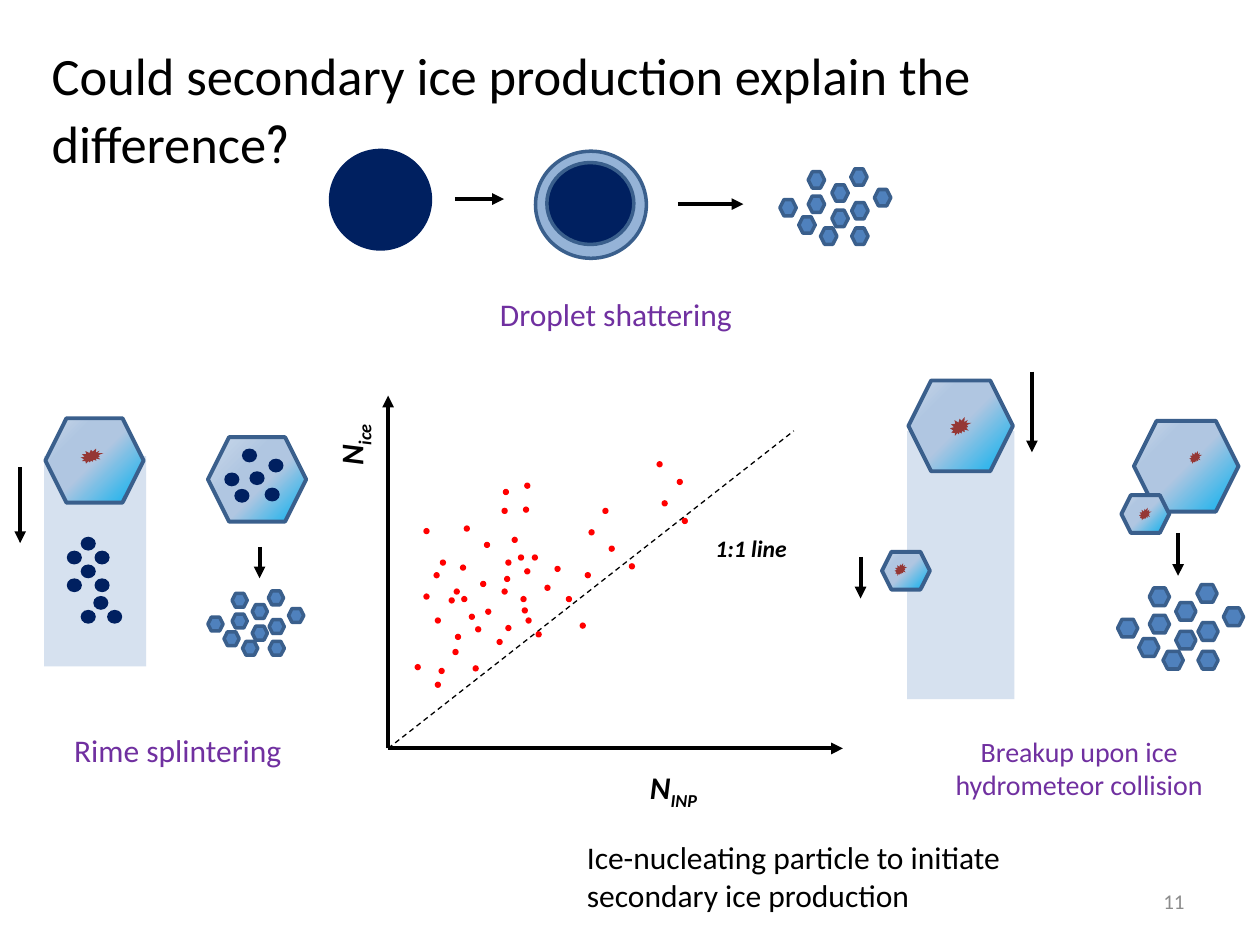
from lxml import etree
from pptx import Presentation
from pptx import util as u
from pptx.dml.color import RGBColor
from pptx.enum import dml, shapes, text
from pptx.oxml import parse_xml
from pptx.oxml.ns import nsdecls, qn

BLACK = RGBColor(0x00, 0x00, 0x00)
GREY = RGBColor(0x8C, 0x8C, 0x8C)
PURPLE = RGBColor(0x70, 0x30, 0xA0)
RED = RGBColor(0xFF, 0x00, 0x00)
NAVY = RGBColor(0x00, 0x20, 0x60)
BLUE = RGBColor(0x4F, 0x81, 0xBD)
OUTLINE = RGBColor(0x3A, 0x5F, 0x8C)
SHELL = RGBColor(0x95, 0xB3, 0xD7)
TRAIL = RGBColor(0xB9, 0xCD, 0xE5)
BROWN = RGBColor(0x95, 0x37, 0x35)

SHAPE = shapes.MSO_SHAPE
ALIGN = text.PP_ALIGN
FONT = "Calibri"

# Scatter: left and top of each dot, in inches
DOT = 0.05
ORIGIN = (3.08, 5.94)
MEASUREMENTS = [
    (4.13, 4.73), (3.98, 4.67), (4.67, 4.20), (4.16, 4.51), (4.06, 4.26), (3.36, 4.71),
    (3.44, 4.54), (3.60, 4.67), (3.65, 4.48), (3.81, 4.61), (3.29, 5.27), (3.45, 5.41),
    (3.48, 5.30), (3.36, 4.19), (3.68, 4.17), (3.49, 4.44), (3.59, 5.15), (3.84, 4.30),
    (4.01, 4.44), (3.85, 4.83), (3.98, 4.03), (3.94, 5.07), (3.77, 4.97), (5.25, 3.97),
    (3.99, 3.88), (4.17, 4.90), (4.15, 4.02), (3.56, 4.74), (3.45, 4.90), (3.66, 4.73),
    (5.21, 3.66), (3.75, 5.28), (4.01, 4.96), (4.16, 3.83), (5.41, 4.11), (4.25, 5.01),
    (3.72, 4.87), (3.61, 5.03), (4.60, 4.94), (5.37, 3.80), (4.14, 4.82), (4.40, 4.49),
    (4.49, 4.73), (4.32, 4.64), (4.83, 4.33), (4.64, 4.54), (4.11, 4.40), (4.00, 4.57),
    (4.22, 4.40), (4.99, 4.47), (4.78, 4.03),
]

# Splinters: each crystal's place as a share of the cluster's spread
SPLINTERS = [
    (0.30, 0.05), (0.30, 0.46), (0.55, 0.27), (0.55, 0.70), (0.20, 0.81), (0.76, 0.57),
    (0.43, 1.00), (0.00, 0.52), (0.76, 1.00), (0.75, 0.00), (1.00, 0.35),
]

# Supercooled droplets of the rime sketch
DROPLET = (0.12, 0.11)
FALLING = [(0.64, 4.26), (0.75, 4.37), (0.53, 4.37), (0.64, 4.48), (0.75, 4.59),
           (0.53, 4.59), (0.74, 4.73), (0.85, 4.84), (0.64, 4.84)]
CAPTURED = [(1.78, 3.75), (1.98, 3.74), (1.86, 3.88), (1.92, 3.56), (2.13, 3.64), (2.10, 3.87)]

# Colliding crystals (left, top, width, height) and their particles
CRYSTALS = [(7.21, 3.02, 0.83, 0.72), (7.00, 4.38, 0.38, 0.30),
            (9.00, 3.34, 0.83, 0.72), (8.90, 3.93, 0.38, 0.30)]
PARTICLES = [(7.54, 3.31, 0.17, 0.15), (7.10, 4.47, 0.10, 0.10),
             (9.44, 3.58, 0.10, 0.10), (9.04, 4.03, 0.10, 0.10)]


def inches(*lengths):
    return [u.Inches(length) for length in lengths]


def write(frame, runs, size=18, color=BLACK, bold=False, italic=False,
          align=ALIGN.LEFT, anchor=text.MSO_ANCHOR.TOP, wrap=True):
    """Fill a frame with one paragraph; runs are (words, font, baseline)."""
    frame.word_wrap = wrap
    frame.auto_size = text.MSO_AUTO_SIZE.NONE
    frame.vertical_anchor = anchor
    paragraph = frame.paragraphs[0]
    paragraph.alignment = align
    for words, font, baseline in runs:
        run = paragraph.add_run()
        run.text = words
        run.font.name, run.font.size = font, u.Pt(size)
        run.font.bold, run.font.italic = bold, italic
        run.font.color.rgb = color
        if baseline:
            run.font._element.set("baseline", str(baseline * 1000))
    return paragraph


def add_label(parent, box, words, subscript=None, rotation=0, **style):
    label = parent.shapes.add_textbox(*inches(*box))
    label.rotation = rotation
    runs = [(words, FONT, 0)] + ([(subscript, FONT, -25)] if subscript else [])
    write(label.text_frame, runs, **style)


def add_part(parent, kind, box, fill, line=None, width=2):
    part = parent.shapes.add_shape(kind, *inches(*box))
    part.shadow.inherit = False
    part.fill.solid()
    part.fill.fore_color.rgb = fill
    if line is None:
        part.line.fill.background()
    else:
        part.line.color.rgb = line
        part.line.width = u.Pt(width)
    return part


def add_line(parent, start, end, width=2.25, arrow=True):
    line = parent.shapes.add_connector(shapes.MSO_CONNECTOR.STRAIGHT, *inches(*start, *end))
    line.line.color.rgb = BLACK
    line.line.width = u.Pt(width)
    properties = line.element.spPr
    if arrow:
        etree.SubElement(properties.find(qn("a:ln")), qn("a:tailEnd"), type="triangle")
    else:
        line.line.dash_style = dml.MSO_LINE.DASH
    etree.SubElement(properties, qn("a:effectLst"))


def add_crystal(parent, box, middle=(50, 73)):
    """Hexagon whose blue lower right corner fades to pale ice."""
    crystal = add_part(parent, SHAPE.HEXAGON, box, BLUE, OUTLINE, 2.25)
    stops = zip((0, *middle, 100), ("00B0F0", "B0C6E1", "B0C6E1", "CAD9EB"))
    stop_xml = "".join(f'<a:gs pos="{position * 1000}"><a:srgbClr val="{color}"/></a:gs>'
                       for position, color in stops)
    gradient = parse_xml(
        f'<a:gradFill {nsdecls("a")} rotWithShape="1"><a:gsLst>{stop_xml}</a:gsLst>'
        '<a:path path="circle"><a:fillToRect l="100000" t="100000"/></a:path></a:gradFill>')
    properties = crystal.element.spPr
    properties.replace(properties.find(qn("a:solidFill")), gradient)


def add_trail(parent, box):
    trail = add_part(parent, SHAPE.RECTANGLE, box, TRAIL)
    color = trail.element.spPr.find(qn("a:solidFill"))[0]
    etree.SubElement(color, qn("a:alpha"), val="58000")


def add_splinters(parent, left, top, spread, size):
    for across, down in SPLINTERS:
        place = (left + across * spread[0], top + down * spread[1])
        add_part(parent, SHAPE.HEXAGON, (*place, *size), BLUE, OUTLINE)


def add_scatter(group):
    add_line(group, ORIGIN, (6.3, 3.42), width=0.75, arrow=False)
    add_line(group, ORIGIN, (6.69, 5.94))
    add_line(group, ORIGIN, (3.08, 3.14))
    axis_style = dict(bold=True, italic=True, wrap=False)
    add_label(group, (2.53, 3.24, 0.61, 0.5), "N", "ice", rotation=270, **axis_style)
    add_label(group, (5.06, 6.05, 0.75, 0.44), "N", "INP", **axis_style)
    add_label(group, (5.58, 4.19, 0.95, 0.35), "1:1 line", size=13.5, **axis_style)
    for place in MEASUREMENTS:
        add_part(group, SHAPE.OVAL, (*place, DOT, DOT), RED)


def add_rime_splintering(group):
    add_trail(group, (0.35, 3.62, 0.81, 1.67))
    add_crystal(group, (0.36, 3.32, 0.78, 0.67))
    add_crystal(group, (1.65, 3.47, 0.78, 0.67), middle=(43, 63))
    for place in FALLING + CAPTURED:
        add_part(group, SHAPE.OVAL, (*place, *DROPLET), NAVY)
    add_line(group, (0.16, 3.71), (0.16, 4.31))
    add_line(group, (2.06, 4.34), (2.06, 4.59))
    add_splinters(group, 1.65, 4.69, spread=(0.64, 0.4), size=(0.12, 0.11))
    add_part(group, SHAPE.EXPLOSION2, (0.64, 3.56, 0.18, 0.12), BROWN)
    add_label(group, (0.49, 5.75, 2.02, 0.37), "Rime splintering", color=PURPLE)


def add_collision_breakup(group):
    add_trail(group, (7.2, 3.42, 0.85, 2.13))
    for x, top, bottom in [(8.19, 2.95, 3.59), (6.83, 4.42, 4.75), (9.35, 4.23, 4.57)]:
        add_line(group, (x, top), (x, bottom))
    add_splinters(group, 8.87, 4.64, spread=(0.84, 0.53), size=(0.16, 0.14))
    for box in CRYSTALS:
        add_crystal(group, box)
    for box in PARTICLES:
        add_part(group, SHAPE.EXPLOSION2, box, BROWN)
    add_label(group, (7.12, 5.78, 2.89, 0.64), "Breakup upon ice hydrometeor collision",
              size=16, color=PURPLE, align=ALIGN.CENTER)


def add_droplet_shattering(group):
    add_part(group, SHAPE.OVAL, (2.61, 1.18, 0.82, 0.81), NAVY)
    add_line(group, (3.61, 1.58), (4, 1.58))
    add_part(group, SHAPE.OVAL, (4.25, 1.2, 0.88, 0.85), SHELL, OUTLINE)
    add_part(group, SHAPE.OVAL, (4.34, 1.29, 0.69, 0.65), NAVY, OUTLINE)
    add_line(group, (5.38, 1.62), (5.9, 1.62))
    add_splinters(group, 6.19, 1.34, spread=(0.75, 0.47), size=(0.13, 0.13))
    add_label(group, (3.87, 2.29, 3.23, 0.44), "Droplet shattering", color=PURPLE)


def main():
    presentation = Presentation()
    presentation.slide_width, presentation.slide_height = inches(10, 7.5)
    slide = presentation.slides.add_slide(presentation.slide_layouts[5])

    # Title
    title = slide.shapes.title
    title.left, title.top, title.width, title.height = inches(0.31, 0.26, 9.4, 0.64)
    heading = write(title.text_frame, [
        ("Could secondary ice production explain the difference", FONT, 0),
        ("?", "Roboto Condensed", 0)], size=30)
    heading.line_spacing, heading.space_after = 1.07, u.Pt(8)

    # Scatter plot and the three mechanisms around it
    for draw in (add_scatter, add_rime_splintering, add_collision_breakup, add_droplet_shattering):
        draw(slide.shapes.add_group_shape())

    # Remark and page number
    add_label(slide, (4.56, 6.6, 3.77, 0.71),
              "Ice-nucleating particle to initiate secondary ice production")
    add_label(slide, (7.17, 6.95, 2.33, 0.4), "11", size=12, color=GREY,
              align=ALIGN.RIGHT, anchor=text.MSO_ANCHOR.MIDDLE)
    presentation.save("out.pptx")


if __name__ == "__main__":
    main()
